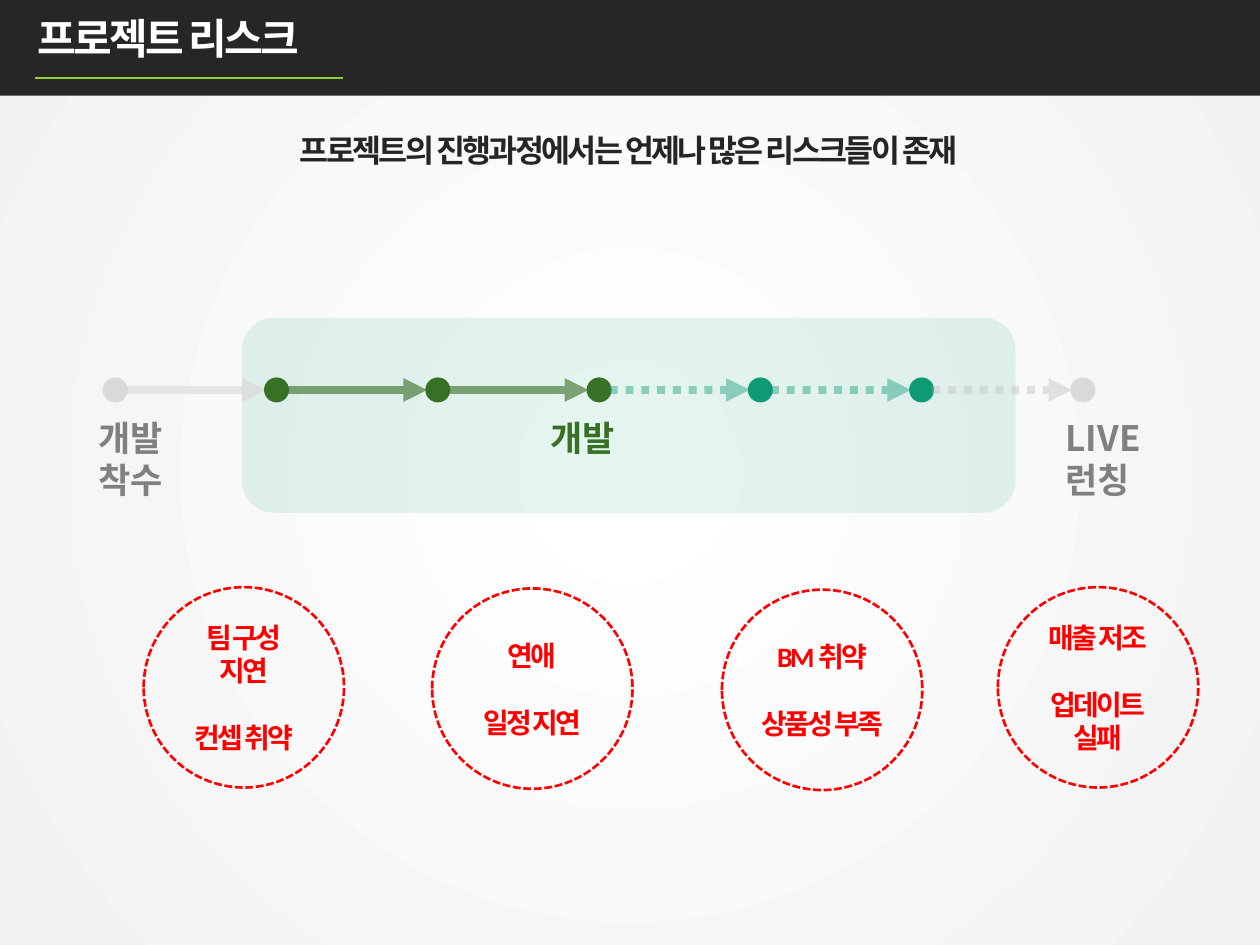
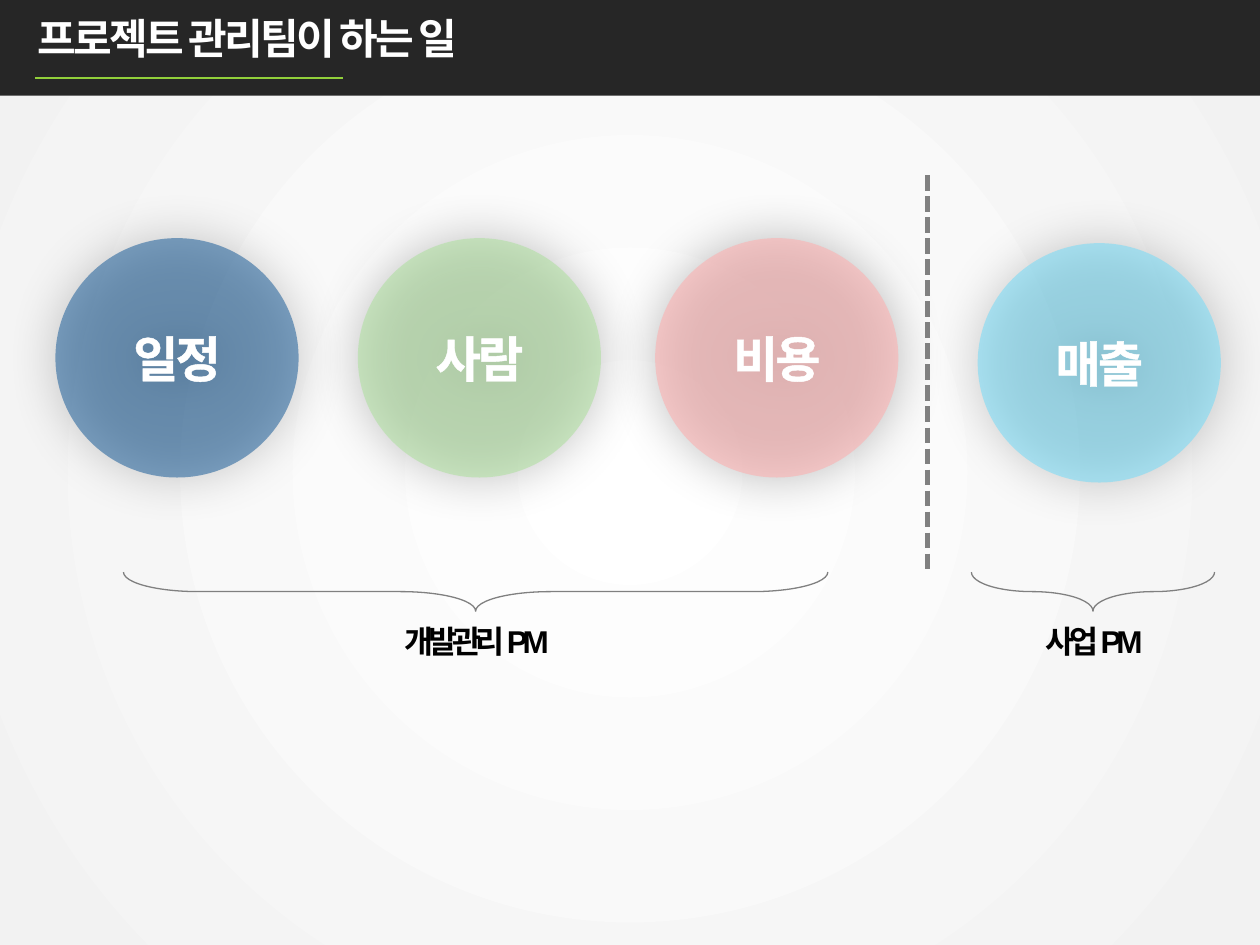
from dataclasses import dataclass
from lxml import etree
from pptx import Presentation
from pptx import util as u
from pptx.dml.color import RGBColor
from pptx.enum import dml, shapes, text
from pptx.oxml.ns import qn


@dataclass(frozen=True)
class Theme:
    latin: str = "Arial"
    risk_font: str = "Calibri"
    korean: str = "Noto Sans CJK KR"
    band: str = "262626"
    ink: str = "252525"
    black: str = "000000"
    white: str = "FFFFFF"
    edge: str = "F2F2F2"
    lime: str = "91CF3A"
    red: str = "FF0000"
    green: str = "387026"
    teal: str = "0C9B74"
    pale: str = "D9D9D9"
    silver: str = "BFBFBF"
    grey: str = "808080"
    title: int = 24
    disc: int = 28
    stage: int = 20
    body: int = 18
    risk: int = 16


THEME = Theme()
WIDTH, HEIGHT = 10, 7.5
DASH, DOT = dml.MSO_LINE.SQUARE_DOT, dml.MSO_LINE.ROUND_DOT
SHAPE = shapes.MSO_SHAPE

RISK_TITLE = "프로젝트 리스크"
RISK_MESSAGE = "프로젝트의 진행과정에서는 언제나 많은 리스크들이 존재"
RISKS = [
    (1.14, 4.66, ["팀 구성\v지연", "컨셉 취약"]),
    (3.43, 4.67, ["연애", "일정 지연"]),
    (5.73, 4.68, ["BM 취약", "상품성 부족"]),
    (7.92, 4.66, ["매출 저조", "업데이트\v실패"]),
]
STAGES = [
    (0.68, 0.77, ["개발 착수"], THEME.grey),
    (4.27, 0.44, ["개발"], THEME.green),
    (8.36, 0.77, ["LIVE", "런칭"], THEME.grey),
]
NODES = [THEME.pale] + [THEME.green] * 3 + [THEME.teal] * 2 + [THEME.pale]
SOLID = dml.MSO_LINE.SOLID
ARROWS = (
    [(THEME.pale, SOLID, 61)]
    + [(THEME.green, SOLID, 61)] * 2
    + [(THEME.teal, DOT, 41)] * 2
    + [(THEME.silver, DOT, 41)]
)
NODE_LEFT, NODE_TOP, NODE_SIZE, NODE_STEP = 0.83, 3.01, 0.17, 1.28

WORK_TITLE = "프로젝트 관리팀이 하는 일"
DISCS = [
    (0.44, 1.89, "일정", "0B5394", 50),
    (2.84, 1.89, "사람", "B0DFA1", 59),
    (5.2, 1.89, "비용", "FAB4B4", 64),
    (7.76, 1.93, "매출", "6BDBFA", 50),
]
ROLES = [(0.98, 5.59, 2.8, "개발관리 PM"), (7.71, 1.93, 7.7, "사업 PM")]


def inches(*values):
    return [u.Inches(value) for value in values]


def add_element(parent, tag, **values):
    return etree.SubElement(parent, qn(tag), {key: str(value) for key, value in values.items()})


def set_alpha(holder, percent):
    color = next(holder.iter(qn("a:srgbClr")))
    add_element(color, "a:alpha", val=percent * 1000)


def set_line(line, color, width, dash=None):
    line.color.rgb = RGBColor.from_string(color)
    line.width = u.Pt(width)
    if dash:
        line.dash_style = dash


def add_shape(page, kind, place, fill=None, alpha=None, line=None):
    shape = page.shapes.add_shape(kind, *inches(*place))
    shape.shadow.inherit = False
    if fill:
        shape.fill.solid()
        shape.fill.fore_color.rgb = RGBColor.from_string(fill)
        if alpha:
            set_alpha(shape.fill._xPr, alpha)
    else:
        shape.fill.background()
    if line:
        set_line(shape.line, *line)
    else:
        shape.line.fill.background()
    return shape


def add_line(page, start, end, line, alpha=None, arrow=False):
    connector = page.shapes.add_connector(shapes.MSO_CONNECTOR.STRAIGHT, *inches(*start, *end))
    set_line(connector.line, *line)
    outline = connector.line._get_or_add_ln()
    if alpha:
        set_alpha(outline, alpha)
    if arrow:
        add_element(outline, "a:tailEnd", type="triangle")
    add_element(connector._element.spPr, "a:effectLst")


def write(shape, lines, size, color, font=THEME.latin, spacing=0, center=False,
          gap=0, outline=None, **frame_format):
    frame = shape.text_frame
    for name, value in {"word_wrap": True, **frame_format}.items():
        setattr(frame, name, value)
    for index, line in enumerate(lines):
        para = frame.paragraphs[0] if index == 0 else frame.add_paragraph()
        para.text = line
        para.alignment = text.PP_ALIGN.CENTER if center else text.PP_ALIGN.LEFT
        if index and gap:
            para.space_before = u.Pt(gap)
        for span in para.runs:
            for name, value in {"size": u.Pt(size), "bold": True, "name": font}.items():
                setattr(span.font, name, value)
            span.font.color.rgb = RGBColor.from_string(color)
            props = span.font._element
            if spacing:
                props.set("spc", str(int(spacing * 100)))
            props.find(qn("a:latin")).addnext(
                props.makeelement(qn("a:ea"), {"typeface": THEME.korean}))
            if outline:
                edge = props.makeelement(qn("a:ln"), {"w": str(u.Pt(outline))})
                fill = add_element(edge, "a:solidFill")
                add_element(fill, "a:srgbClr", val=color)
                props.insert(0, edge)


def add_text(page, place, lines, size, color, **options):
    box = page.shapes.add_textbox(*inches(*place))
    write(box, lines, size, color, **options)


def set_background(deck):
    fill = deck.slide_master.background.fill
    fill.gradient()
    for stop, position, color in zip(fill.gradient_stops, (0, 1), (THEME.white, THEME.edge)):
        stop.position = position
        stop.color.rgb = RGBColor.from_string(color)
    gradient = next(deck.slide_master._element.iter(qn("a:gradFill")))
    linear = gradient.find(qn("a:lin"))
    circle = gradient.makeelement(qn("a:path"), {"path": "circle"})
    add_element(circle, "a:fillToRect", **dict.fromkeys("ltrb", 50000))
    gradient.replace(linear, circle)


def add_page(deck, title):
    page = deck.slides.add_slide(deck.slide_layouts[6])
    add_shape(page, SHAPE.RECTANGLE, (0, 0, WIDTH, 0.76), THEME.band)
    add_text(page, (0.2, 0.05, 6.38, 0.5), [title], THEME.title, THEME.white,
             spacing=-1.5, auto_size=text.MSO_AUTO_SIZE.SHAPE_TO_FIT_TEXT)
    add_line(page, (0.28, 0.62), (2.72, 0.62), (THEME.lime, 1.5))
    return page


def build_risks(deck):
    page = add_page(deck, RISK_TITLE)
    insets = {f"margin_{side}": u.Inches(size) for side, size in
              zip(("left", "top", "right", "bottom"), (0.04, 0.05) * 2)}
    for left, top, lines in RISKS:
        circle = add_shape(page, SHAPE.OVAL, (left, top, 1.59, 1.59), line=(THEME.red, 1.5, DASH))
        write(circle, lines, THEME.risk, THEME.red, font=THEME.risk_font, spacing=-1.5,
              center=True, gap=19.2, vertical_anchor=text.MSO_ANCHOR.MIDDLE, **insets)
    add_shape(page, SHAPE.ROUNDED_RECTANGLE, (1.92, 2.52, 6.14, 1.55), THEME.teal, alpha=11)
    for left, height, lines, color in STAGES:
        add_text(page, (left, 3.26, 0.91, height), lines, THEME.stage, color, font=THEME.korean)
    middle = NODE_TOP + NODE_SIZE / 2
    for index, color in enumerate(NODES):
        left = NODE_LEFT + index * NODE_STEP
        add_shape(page, SHAPE.OVAL, (left, NODE_TOP, NODE_SIZE, NODE_SIZE), color, line=(color, 2))
        if index < len(ARROWS):
            shade, dash, alpha = ARROWS[index]
            add_line(page, (left + NODE_SIZE, middle), (left + NODE_STEP, middle),
                     (shade, 4.5, dash), alpha, arrow=True)
    add_text(page, (1.94, 0.99, 6.1, 0.4), [RISK_MESSAGE], THEME.body, THEME.ink,
             spacing=-1.5, center=True, word_wrap=False)


def add_glow(shape):
    effects = shape._element.spPr.find(qn("a:effectLst"))
    shadow = add_element(effects, "a:outerShdw", blurRad=u.Pt(30), dist=0, dir=0,
                         algn="ctr", rotWithShape=0)
    add_element(shadow, "a:srgbClr", val=THEME.black)
    set_alpha(shadow, 40)


def add_brace(page, left, span):
    depth, top = 0.31, 4.54
    place = (left + (span - depth) / 2, top + (depth - span) / 2, depth, span)
    brace = add_shape(page, SHAPE.LEFT_BRACE, place, line=(THEME.grey, 0.75))
    brace.rotation = 270
    brace.adjustments[0] = 1.92
    brace.adjustments[1] = 0.5


def build_work(deck):
    page = add_page(deck, WORK_TITLE)
    middle = {"vertical_anchor": text.MSO_ANCHOR.MIDDLE, "center": True}
    for left, top, label, color, alpha in DISCS:
        disc = add_shape(page, SHAPE.OVAL, (left, top, 1.93, 1.9), color, alpha)
        add_glow(disc)
        write(disc, [label], THEME.disc, THEME.white, spacing=-1.5, outline=0.25,
              word_wrap=False, **middle)
    add_line(page, (7.36, 1.39), (7.36, 4.54), (THEME.grey, 3, DASH))
    for brace_left, span, label_left, label in ROLES:
        add_brace(page, brace_left, span)
        add_text(page, (label_left, 4.93, 1.97, 0.31), [label], THEME.body, THEME.black,
                 spacing=-3, **middle)


def main():
    deck = Presentation()
    deck.slide_width, deck.slide_height = inches(WIDTH, HEIGHT)
    set_background(deck)
    build_risks(deck)
    build_work(deck)
    deck.save("out.pptx")


if __name__ == "__main__":
    main()
